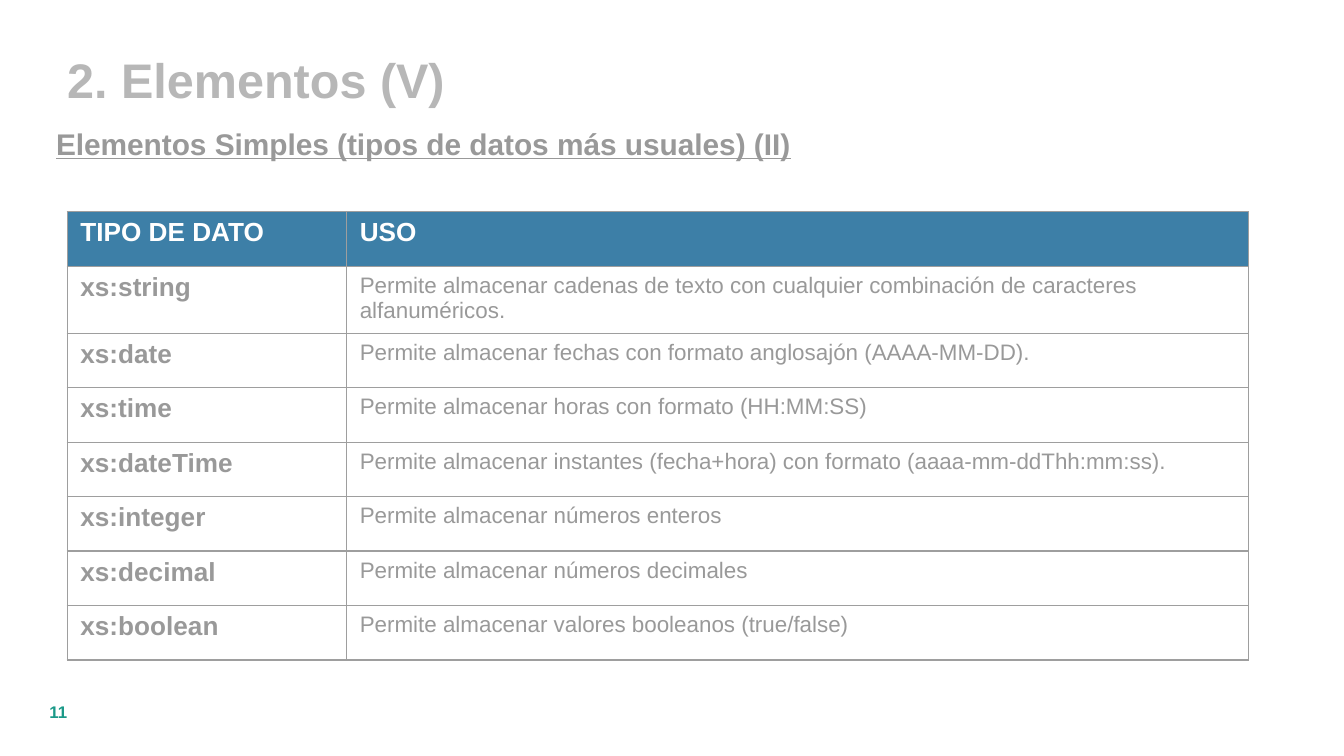
import pptx
import pptx.dml.color
import pptx.enum.text
import pptx.util
import pptx.oxml
import pptx.oxml.ns
from pptx.util import Cm

ALIGN = pptx.enum.text.PP_ALIGN
ANCHOR = pptx.enum.text.MSO_ANCHOR
GRAY = "999999"
BORDER = "9E9E9E"


def style(paragraph, size, color, bold=True):
    font = paragraph.font
    font.name = "Arial"
    font.size = pptx.util.Pt(size)
    font.bold = bold
    font.color.rgb = pptx.dml.color.RGBColor.from_string(color)


def add_text(box, text, size, color, insets, align=ALIGN.LEFT, anchor=ANCHOR.TOP):
    """Add a text box; box is left, top, width, height and insets left, top, right, bottom, in cm."""
    frame = slide.shapes.add_textbox(*map(Cm, box)).text_frame
    frame.word_wrap = True
    frame.vertical_anchor = anchor
    frame.margin_left, frame.margin_top, frame.margin_right, frame.margin_bottom = map(Cm, insets)
    paragraph = frame.paragraphs[0]
    paragraph.text = text
    paragraph.alignment = align
    style(paragraph, size, color)
    return paragraph


presentation = pptx.Presentation()
presentation.slide_width = Cm(25.4)
presentation.slide_height = Cm(14.29)
slide = presentation.slides.add_slide(presentation.slide_layouts[6])

subtitle = add_text((0.81, 2.24, 23.5, 11.56), "Elementos Simples (tipos de datos más usuales) (II)",
                    16, GRAY, (0.25, 0.13, 0.25, 0.13), ALIGN.JUSTIFY)
subtitle.font.underline = True
add_text((1.27, 0.94, 20.7, 0.94), "2. Elementos (V)", 26, "B7B7B7", (0, 0, 0.25, 0))
add_text((0, 13.13, 1.27, 0.51), "11", 9, "1A9988", (0, 0, 0, 0), ALIGN.RIGHT, ANCHOR.BOTTOM)

data_types = [
    ("TIPO DE DATO", "USO"),
    ("xs:string", "Permite almacenar cadenas de texto con cualquier combinación de caracteres alfanuméricos."),
    ("xs:date", "Permite almacenar fechas con formato anglosajón (AAAA-MM-DD)."),
    ("xs:time", "Permite almacenar horas con formato (HH:MM:SS)"),
    ("xs:dateTime", "Permite almacenar instantes (fecha+hora) con formato (aaaa-mm-ddThh:mm:ss)."),
    ("xs:integer", "Permite almacenar números enteros"),
    ("xs:decimal", "Permite almacenar números decimales"),
    ("xs:boolean", "Permite almacenar valores booleanos (true/false)"),
]
row_height = 1.03
column_widths = (5.28, 17.04)
types_table = slide.shapes.add_table(
    len(data_types), 2, Cm(1.27), Cm(4), Cm(sum(column_widths)), Cm(row_height * len(data_types))).table
types_table.horz_banding = False
for column, width in zip(types_table.columns, column_widths):
    column.width = Cm(width)

for row, texts in enumerate(data_types):
    types_table.rows[row].height = Cm(row_height)
    for col, text in enumerate(texts):
        cell = types_table.cell(row, col)
        cell.margin_left = cell.margin_right = Cm(0.25)
        cell.margin_top = cell.margin_bottom = Cm(0.25 / 2)
        paragraph = cell.text_frame.paragraphs[0]
        paragraph.text = text
        is_header = row == 0
        is_use = col == 1 and not is_header
        style(paragraph, 12 if is_use else 14, "FFFFFF" if is_header else GRAY, not is_use)

        properties = cell._tc.get_or_add_tcPr()
        for side in ("lnL", "lnR", "lnT", "lnB"):
            properties.append(pptx.oxml.parse_xml(
                f'<a:{side} {pptx.oxml.ns.nsdecls("a")} w="{pptx.util.Pt(0.75)}">'
                f'<a:solidFill><a:srgbClr val="{BORDER}"/></a:solidFill></a:{side}>'))
        if is_header:
            cell.fill.solid()
            cell.fill.fore_color.rgb = pptx.dml.color.RGBColor.from_string("3D7FA7")
        else:
            cell.fill.background()

presentation.save("out.pptx")
